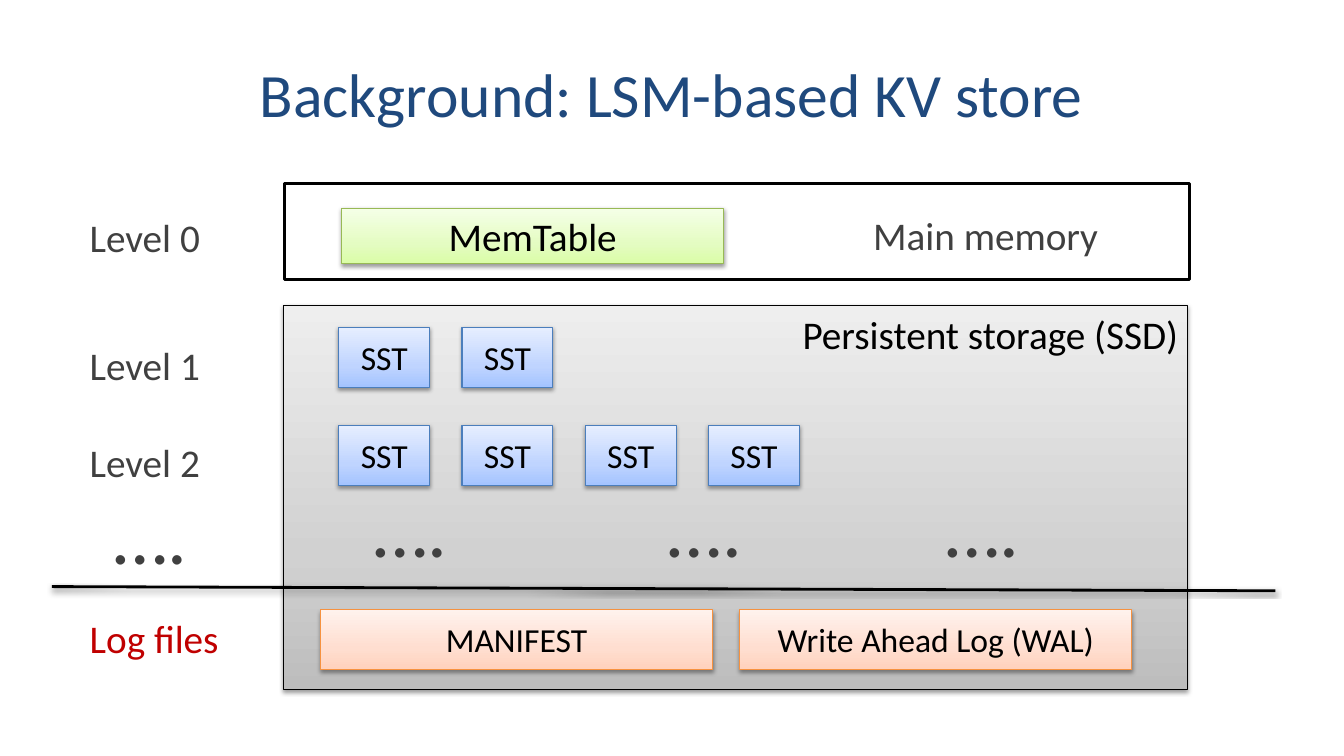
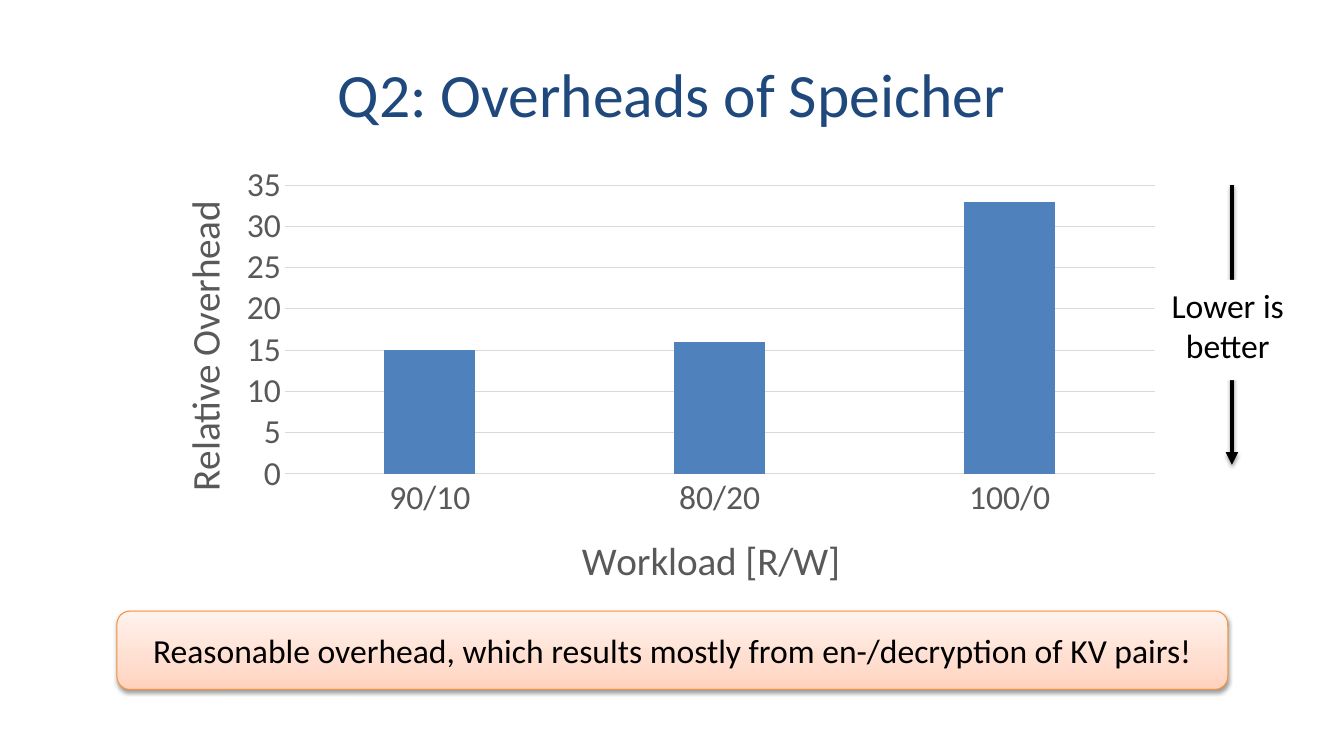
import copy
import dataclasses

import lxml.etree
import pptx
import pptx.chart.data
import pptx.dml.color
import pptx.enum.chart
import pptx.enum.shapes
import pptx.enum.text
import pptx.oxml.ns
import pptx.util

SHAPE = pptx.enum.shapes.MSO_SHAPE
ALIGN = pptx.enum.text.PP_ALIGN
ANCHOR = pptx.enum.text.MSO_ANCHOR


@dataclasses.dataclass(frozen=True)
class Theme:
    font: str = "Calibri"
    navy: str = "1F497D"
    black: str = "000000"
    white: str = "FFFFFF"
    label: str = "404040"
    log: str = "C00000"
    bar: str = "4F81BD"
    axis: str = "595959"
    grid: str = "D9D9D9"
    # Gradients run from the bottom up; the last colour is the outline.
    gray: tuple = ("BDBDBD", "D1D1D1", "EEEEEE", "000000")
    green: tuple = ("DAFDA7", "E4FCC2", "F5FFE7", "98B955")
    blue: tuple = ("A4C4FF", "BFD4FF", "E6EEFF", "4B7EBC")
    orange: tuple = ("FFD2BD", "FFDED0", "FFF2ED", "F69240")
    stops: tuple = (0, 0.35, 1)
    title_size: int = 44
    dots_size: int = 56
    large: int = 28
    body: int = 24
    chart_size: int = 10


def rgb(color):
    return pptx.dml.color.RGBColor.from_string(color)


def add_xml(parent, tag, **attrs):
    return lxml.etree.SubElement(parent, pptx.oxml.ns.qn(tag), attrs)


def place_in_chart(parent, index, **fractions):
    """Set a manual layout, in fractions of the chart's size."""
    layout = parent.find(pptx.oxml.ns.qn("c:layout"))
    if layout is None:
        layout = add_xml(parent, "c:layout")
        parent.insert(index, layout)
    manual = add_xml(layout, "c:manualLayout")
    if "w" in fractions:
        add_xml(manual, "c:layoutTarget", val="inner")
    add_xml(manual, "c:xMode", val="edge")
    add_xml(manual, "c:yMode", val="edge")
    for key, value in fractions.items():
        add_xml(manual, f"c:{key}", val=str(value))


class Deck:
    def __init__(self, theme):
        self.theme = theme
        self.prs = pptx.Presentation()
        self.prs.slide_width = pptx.util.Pt(960)
        self.prs.slide_height = pptx.util.Pt(540)
        self.s = None

    def new_slide(self, title):
        self.s = self.prs.slides.add_slide(self.prs.slide_layouts[6])
        self.label(title, (48, 21.6, 864, 90), self.theme.title_size,
                   self.theme.navy, ALIGN.CENTER, ANCHOR.MIDDLE)

    def style_font(self, font, size, color):
        font.name = self.theme.font
        font.size = pptx.util.Pt(size)
        font.bold = False
        font.color.rgb = rgb(color)

    def set_text(self, tf, text, size, color, align, anchor):
        tf.word_wrap = True
        tf.vertical_anchor = anchor
        p = tf.paragraphs[0]
        p.alignment = align
        r = p.add_run()
        r.text = text
        self.style_font(r.font, size, color)

    def label(self, text, box, size, color, align=ALIGN.LEFT, anchor=ANCHOR.TOP):
        sp = self.s.shapes.add_textbox(*map(pptx.util.Pt, box))
        self.set_text(sp.text_frame, text, size, color, align, anchor)

    def drop_shadow(self, effects, blur=3.1, dist=1.6, alpha=38):
        shadow = add_xml(effects, "a:outerShdw", blurRad=str(pptx.util.Pt(blur)),
                         dist=str(pptx.util.Pt(dist)), dir="5400000",
                         rotWithShape="0")
        color = add_xml(shadow, "a:srgbClr", val=self.theme.black)
        add_xml(color, "a:alpha", val=str(alpha * 1000))

    def plain_box(self, box, line_width=0, kind=SHAPE.RECTANGLE):
        """Add a white box, outlined in black if it has a line width."""
        sp = self.s.shapes.add_shape(kind, *map(pptx.util.Pt, box))
        sp.shadow.inherit = False
        sp.fill.solid()
        sp.fill.fore_color.rgb = rgb(self.theme.white)
        if line_width:
            sp.line.color.rgb = rgb(self.theme.black)
            sp.line.width = pptx.util.Pt(line_width)
        else:
            sp.line.fill.background()
        return sp

    def gradient_box(self, text, box, palette, size, align=ALIGN.CENTER,
                     anchor=ANCHOR.MIDDLE, kind=SHAPE.RECTANGLE):
        sp = self.plain_box(box, 0.75, kind)
        *colors, outline = palette
        sp.line.color.rgb = rgb(outline)
        sp.fill.gradient()
        sp.fill.gradient_angle = 90
        spPr = sp._element.spPr
        gs_list = spPr.find(".//" + pptx.oxml.ns.qn("a:gsLst"))
        gs_list.append(copy.deepcopy(gs_list[-1]))
        for stop, position, color in zip(sp.fill.gradient_stops,
                                         self.theme.stops, colors):
            stop.position = position
            stop.color.rgb = rgb(color)
        self.drop_shadow(spPr.find(pptx.oxml.ns.qn("a:effectLst")))
        self.set_text(sp.text_frame, text, size, self.theme.black, align, anchor)

    def line(self, start, end, width, arrow=False):
        cn = self.s.shapes.add_connector(
            pptx.enum.shapes.MSO_CONNECTOR.STRAIGHT,
            *map(pptx.util.Pt, (*start, *end)))
        cn.line.color.rgb = rgb(self.theme.black)
        cn.line.width = pptx.util.Pt(width)
        spPr = cn._element.spPr
        if arrow:
            add_xml(spPr.find(pptx.oxml.ns.qn("a:ln")), "a:tailEnd", type="triangle")
        self.drop_shadow(add_xml(spPr, "a:effectLst"))

    def style_axis(self, axis, title, x, y):
        """Style the axis and return the text frame of its title."""
        t = self.theme
        axis.major_tick_mark = pptx.enum.chart.XL_TICK_MARK.NONE
        self.style_font(axis.tick_labels.font, t.body, t.axis)
        tf = axis.axis_title.text_frame
        r = tf.paragraphs[0].add_run()
        r.text = title
        self.style_font(r.font, t.large, t.axis)
        place_in_chart(axis.axis_title._element, 1, x=x, y=y)
        return tf

    def column_chart(self, box, categories, values, x_title, y_title):
        t = self.theme
        data = pptx.chart.data.CategoryChartData()
        data.categories = categories
        data.add_series("Series 1", values)
        chart = self.s.shapes.add_chart(
            pptx.enum.chart.XL_CHART_TYPE.COLUMN_CLUSTERED,
            *map(pptx.util.Pt, box), data).chart
        chart.has_title = False
        chart.has_legend = False
        self.style_font(chart.font, t.chart_size, t.black)

        plot = chart.plots[0]
        plot.vary_by_categories = False
        plot.gap_width = 219
        plot.overlap = -27
        fill = plot.series[0].format.fill
        fill.solid()
        fill.fore_color.rgb = rgb(t.bar)
        place_in_chart(chart._chartSpace.chart.plotArea, 0,
                       x=0.14, y=0.07, w=0.84, h=0.65)

        self.style_axis(chart.category_axis, x_title, 0.42, 0.84)
        value_axis = chart.value_axis
        y_frame = self.style_axis(value_axis, y_title, 0.03, 0.09)
        body = y_frame._txBody.bodyPr
        body.set("rot", "-5400000")
        body.set("vert", "horz")
        value_axis.minimum_scale = 0
        value_axis.maximum_scale = 35
        value_axis.major_unit = 5
        value_axis.format.line.fill.background()
        for line in (chart.category_axis.format.line,
                     value_axis.major_gridlines.format.line):
            line.color.rgb = rgb(t.grid)
            line.width = pptx.util.Pt(0.75)


def lsm_slide(deck):
    t = deck.theme
    deck.new_slide("Background: LSM-based KV store")
    deck.plain_box((203, 131, 646.5, 69), 2)
    deck.gradient_box("Persistent storage (SSD)", (202.5, 218, 646, 274.5),
                      t.gray, t.large, ALIGN.RIGHT, ANCHOR.TOP)
    deck.gradient_box("MemTable", (244, 149, 273, 39), t.green, t.large)
    deck.label("Main memory", (546, 147.5, 316, 43), t.large, t.label, ALIGN.CENTER)

    for top, count in ((234, 2), (304, 4)):
        for column in range(count):
            deck.gradient_box("SST", (242 + 88 * column, top, 65, 42.5),
                              t.blue, t.body)
    for text, left in (("MANIFEST", 229), ("Write Ahead Log (WAL)", 528.5)):
        deck.gradient_box(text, (left, 435.5, 280, 42.5), t.orange, t.body)

    for text, top, color in (("Level 0", 149, t.label), ("Level 1", 240.5, t.label),
                             ("Level 2", 309.5, t.label), ("Log files", 435.5, t.log)):
        deck.label(text, (57, top, 112, 39), t.large, color)
    for left, top in ((74, 344), (260, 339), (470, 339), (668, 339)):
        deck.label("….", (left, top, 108, 25), t.dots_size, t.label)
    deck.line((37, 419), (911, 422), 2)


def overhead_slide(deck):
    t = deck.theme
    deck.new_slide("Q2: Overheads of Speicher")
    deck.column_chart((100, 110, 739.5, 317.5), ("90/10", "80/20", "100/0"),
                      (15, 16, 33), "Workload [R/W]", "Relative Overhead")
    deck.line((880, 132), (880, 332), 3, arrow=True)
    sp = deck.plain_box((824.5, 200, 105, 71.5))
    deck.set_text(sp.text_frame, "Lower is better", t.body, t.black,
                  ALIGN.CENTER, ANCHOR.TOP)
    deck.gradient_box(
        "Reasonable overhead, which results mostly from en-/decryption of KV pairs!",
        (83.5, 436.5, 793.5, 56), t.orange, t.body, kind=SHAPE.ROUNDED_RECTANGLE)


def main():
    deck = Deck(Theme())
    lsm_slide(deck)
    overhead_slide(deck)
    deck.prs.save("out.pptx")


if __name__ == "__main__":
    main()
